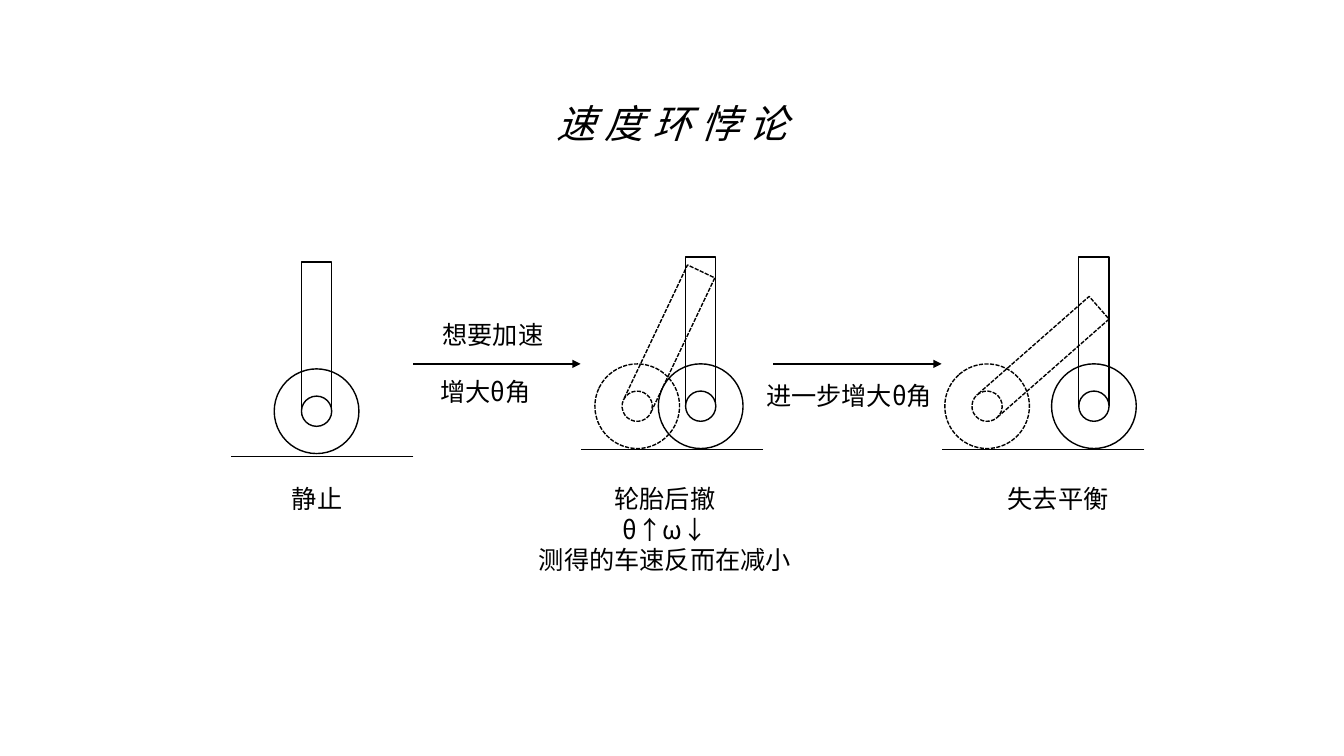
import math
from lxml import etree
from pptx import Presentation
from pptx import util as u
from pptx.dml.color import RGBColor
from pptx.enum import dml, shapes, text
from pptx.oxml.ns import qn

COLORS = {"ink": "000000", "paper": "FFFFFF"}
FONT = "Noto Sans CJK SC"
CELL = u.Inches(0.1)
WHEEL, HUB, ROD_WIDTH, ROD_LENGTH = 8.4, 3, 3, 14.8


def cells(*counts):
    return [round(count * CELL) for count in counts]


def color(key):
    return RGBColor.from_string(COLORS[key])


def draw_line(parent, start, end, arrow=False):
    line = parent.add_connector(shapes.MSO_CONNECTOR.STRAIGHT, *cells(*start, *end))
    line.line.color.rgb = color("ink")
    line.line.width = u.Pt(1)
    properties = line._element.spPr
    if arrow:
        etree.SubElement(properties.find(qn("a:ln")), qn("a:tailEnd"), type="triangle")
    etree.SubElement(properties, qn("a:effectLst"))


def draw_part(parent, kind, center, size, angle, fill=None):
    (x, y), (width, height) = center, size
    part = parent.add_shape(kind, *cells(x - width / 2, y - height / 2, width, height))
    part.shadow.inherit = False
    part.rotation = angle
    if fill:
        part.fill.solid()
        part.fill.fore_color.rgb = color(fill)
    else:
        part.fill.background()
    part.line.color.rgb = color("ink")
    part.line.width = u.Pt(1)
    if angle:
        part.line.dash_style = dml.MSO_LINE.SQUARE_DOT


def draw_pendulum(parent, axle, angle=0):
    x, y = axle
    tilt = math.radians(angle)
    rod = (x + ROD_LENGTH / 2 * math.sin(tilt), y - ROD_LENGTH / 2 * math.cos(tilt))
    oval, bar = shapes.MSO_SHAPE.OVAL, shapes.MSO_SHAPE.RECTANGLE
    draw_part(parent, oval, axle, (WHEEL, WHEEL), angle)
    draw_part(parent, bar, rod, (ROD_WIDTH, ROD_LENGTH), angle)
    draw_part(parent, oval, axle, (HUB, HUB), angle, "paper")


def draw_stage(slide, box, axle_offset, tilted_offset=0, angle=0):
    left, top, width, height = box
    axle_y, ground = top + ROD_LENGTH, top + height
    stage = slide.shapes.add_group_shape().shapes
    draw_pendulum(stage, (left + axle_offset, axle_y))
    if angle:
        draw_pendulum(stage, (left + tilted_offset, axle_y), angle)
    draw_line(stage, (left + width, ground), (left, ground))


def write_label(slide, box, wording, size=18, align="CENTER", italic=None, wrap=False):
    frame = slide.shapes.add_textbox(*cells(*box)).text_frame
    frame.word_wrap = wrap
    frame.auto_size = text.MSO_AUTO_SIZE.SHAPE_TO_FIT_TEXT
    frame.text = wording
    for paragraph in frame.paragraphs:
        paragraph.alignment = text.PP_ALIGN[align]
        for run in paragraph.runs:
            run.font.name = FONT
            run.font.size = u.Pt(size)
            run.font.italic = italic
            run.font.color.rgb = color("ink")
            etree.SubElement(run.font._element, qn("a:ea"), typeface=FONT)


def draw_transition(slide, start, length, labels):
    x, y = start
    draw_line(slide.shapes, start, (x + length, y), arrow=True)
    for wording, dx, dy, width, wrap in labels:
        write_label(slide, (x + dx, y + dy, width, 4), wording, align="LEFT", wrap=wrap)


def build_paradox_slide(slide):
    write_label(slide, (51.9, 9.4, 29.5, 5.7), "速 度 环 悖 论", size=28, italic=True)

    draw_stage(slide, (22.9, 26, 18.1, 19.3), 8.5)
    draw_stage(slide, (57.6, 25.5, 18.1, 19.1), 11.9, 5.6, 25.4)
    draw_stage(slide, (93.4, 25.5, 20.1, 19.1), 15.1, 4.5, 48.7)

    write_label(slide, (27.9, 47.5, 7.1, 4), "静止")
    write_label(slide, (52.3, 47.5, 27.3, 10.1), "轮胎后撤\nθ↑ω↓\n测得的车速反而在减小")
    write_label(slide, (98.9, 47.5, 12.1, 4), "失去平衡")

    draw_transition(slide, (41, 36.1), 16.6, [
        ("想要加速", 1.9, -4.9, 12.1, False),
        ("增大θ角", 1.7, 0.7, 12.1, True),
    ])
    draw_transition(slide, (76.7, 36.1), 16.7, [("进一步增大θ角", -1.7, 1.1, 19.7, False)])


def main():
    deck = Presentation()
    deck.slide_width, deck.slide_height = u.Inches(13.33), u.Inches(7.5)
    build_paradox_slide(deck.slides.add_slide(deck.slide_layouts[6]))
    deck.save("out.pptx")


if __name__ == "__main__":
    main()
